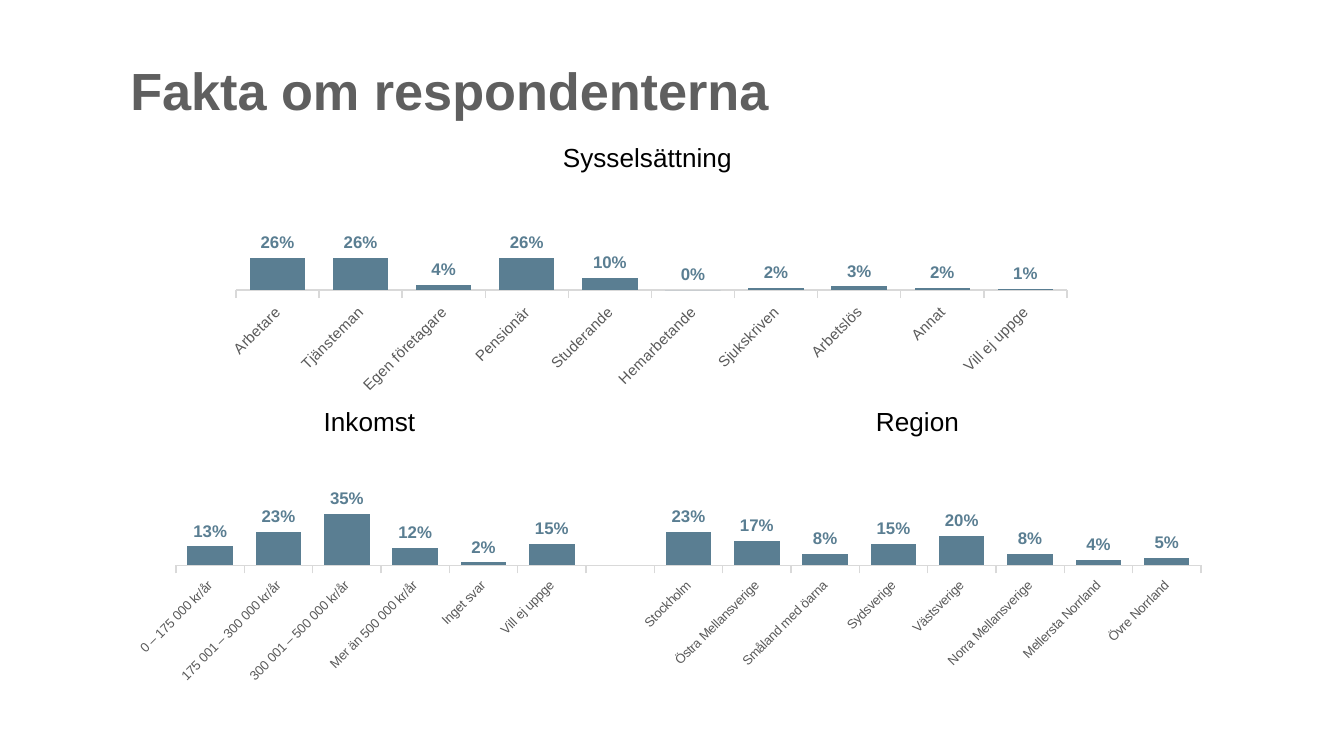
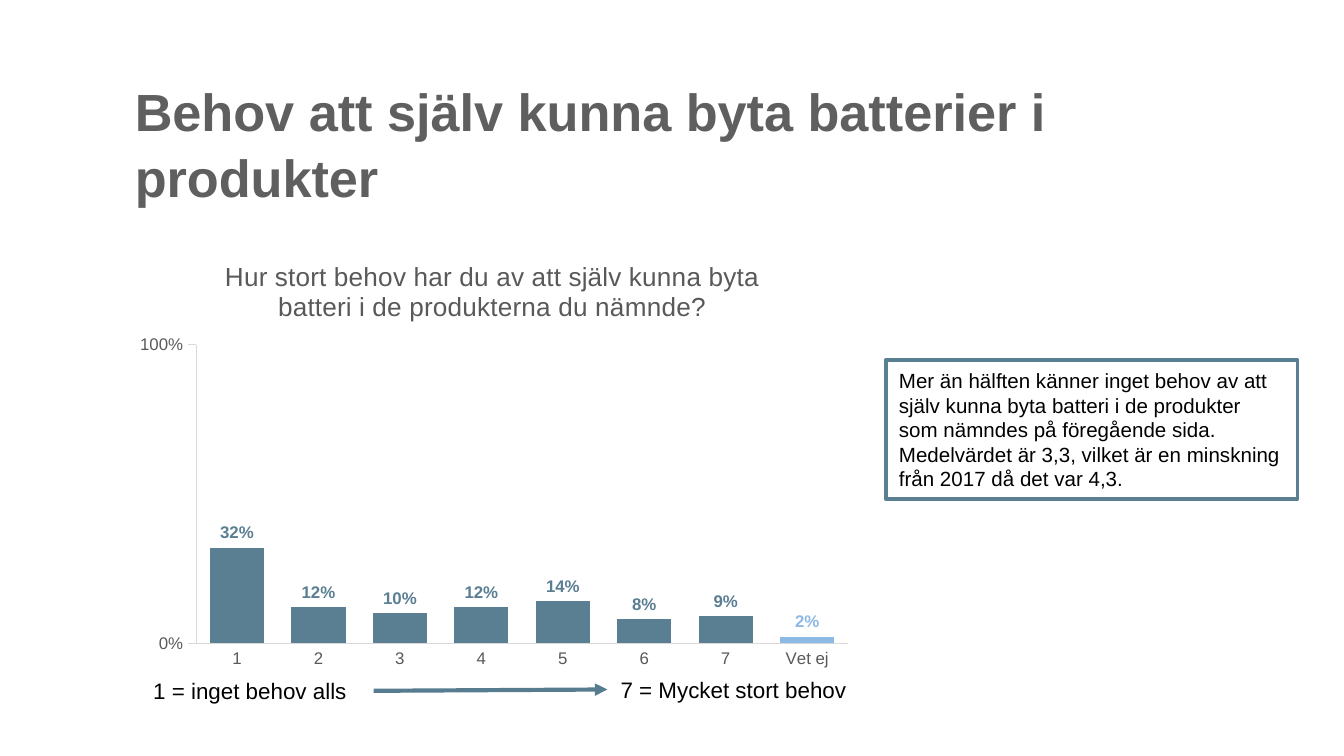
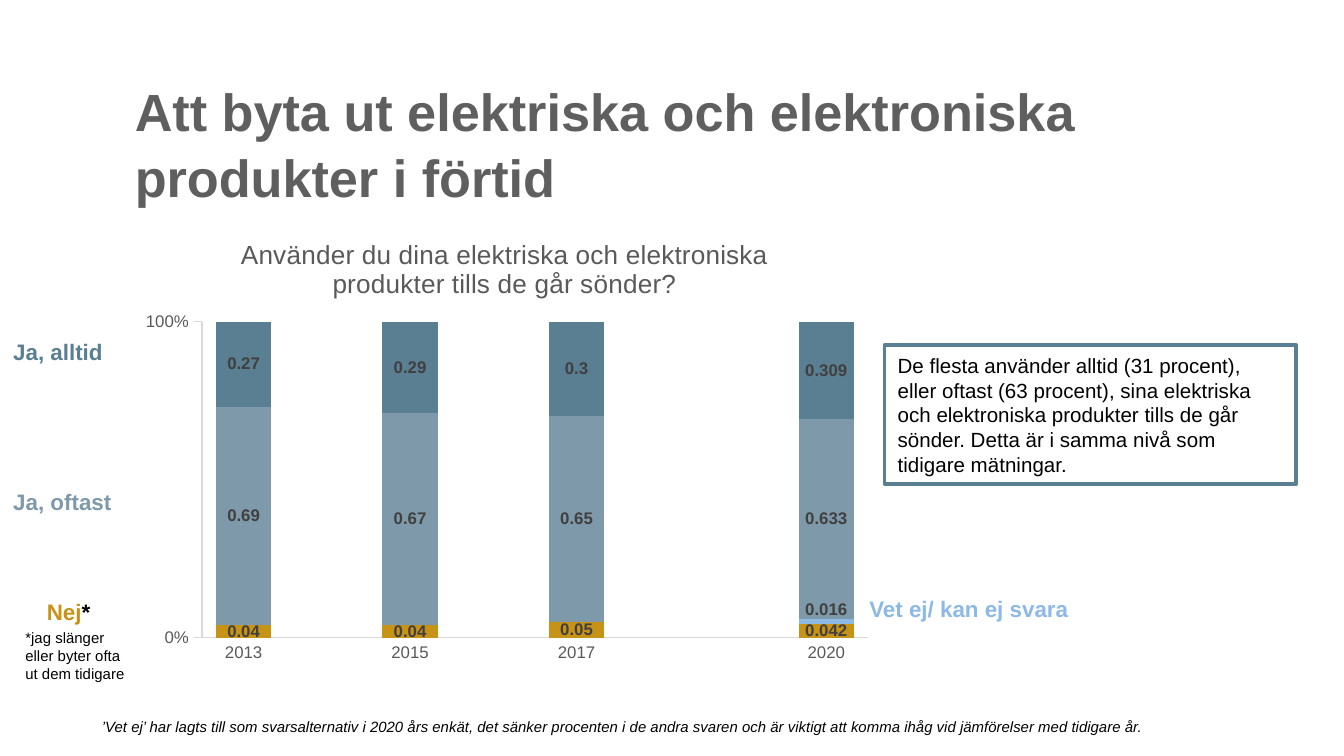
"""Build three survey slides about respondents and the products they replace."""

from dataclasses import dataclass
from typing import Optional

from pptx import Presentation
from pptx import util as u
from pptx.chart import data
from pptx.dml.color import RGBColor
from pptx.enum import chart as charts
from pptx.enum import shapes, text
from pptx.oxml import ns, parse_xml

Box = tuple[float, float, float, float]


@dataclass(frozen=True)
class Theme:
    font: str = "Arial"
    title: str = "5F5F5F"
    ink: str = "000000"
    paper: str = "FFFFFF"
    axis_text: str = "595959"
    axis_line: str = "D9D9D9"
    stacked_label: str = "404040"
    always: str = "5A7E92"
    mostly: str = "7E99AA"
    unsure: str = "8DB9E5"
    never: str = "C79316"
    arrow: str = "577C90"
    title_size: float = 28
    heading_size: float = 14
    legend_size: float = 12
    callout_size: float = 11
    chart_size: float = 10
    label_size: float = 9
    small_size: float = 8
    tiny_size: float = 7


THEME = Theme()


@dataclass(frozen=True)
class Note:
    box: Box
    paragraphs: tuple[str, ...]
    size: float
    color: str = THEME.ink
    bold: bool = False
    italic: bool = False
    wrap: bool = True
    framed: bool = False
    marker: str = ""


@dataclass(frozen=True)
class Series:
    values: tuple[Optional[float], ...]
    color: str = THEME.always
    label_color: str = THEME.always
    label_position: Optional[charts.XL_LABEL_POSITION] = charts.XL_LABEL_POSITION.OUTSIDE_END


@dataclass(frozen=True)
class BarChart:
    box: Box
    plot: Box
    categories: tuple[str, ...]
    series: tuple[Series, ...]
    title: str = ""
    stacked: bool = False
    overlap: int = 0
    show_values: bool = True
    category_size: float = THEME.label_size
    accent: Optional[int] = None


@dataclass(frozen=True)
class Page:
    title: str
    title_box: Box
    charts: tuple[BarChart, ...]
    notes: tuple[Note, ...]
    arrow: Optional[Box] = None


def points(lengths: Box) -> list[u.Length]:
    return [u.Pt(length) for length in lengths]


def style_font(font, size: float, color: str, bold: bool = False, italic: bool = False) -> None:
    font.name, font.size = THEME.font, u.Pt(size)
    font.bold, font.italic = bold, italic
    font.color.rgb = RGBColor.from_string(color)


def style_line(line, color: str, width: float) -> None:
    line.color.rgb = RGBColor.from_string(color)
    line.width = u.Pt(width)


def set_title(slide, page: Page) -> None:
    title = slide.shapes.title
    title.left, title.top, title.width, title.height = points(page.title_box)
    frame = title.text_frame
    frame.text = page.title
    frame.auto_size = text.MSO_AUTO_SIZE.NONE
    frame.vertical_anchor = text.MSO_ANCHOR.TOP
    paragraph = frame.paragraphs[0]
    paragraph.alignment = text.PP_ALIGN.LEFT
    paragraph.line_spacing = 1.05
    style_font(paragraph.font, THEME.title_size, THEME.title, bold=True)


def add_note(slide, note: Note) -> None:
    if note.framed:
        shape = slide.shapes.add_shape(shapes.MSO_SHAPE.RECTANGLE, *points(note.box))
        shape.shadow.inherit = False
        shape.fill.solid()
        shape.fill.fore_color.rgb = RGBColor.from_string(THEME.paper)
        style_line(shape.line, THEME.always, 2)
    else:
        shape = slide.shapes.add_textbox(*points(note.box))
    frame = shape.text_frame
    frame.text = "\n".join(note.paragraphs)
    frame.word_wrap = note.wrap
    frame.auto_size = text.MSO_AUTO_SIZE.SHAPE_TO_FIT_TEXT
    for paragraph in frame.paragraphs:
        paragraph.alignment = text.PP_ALIGN.LEFT
        style_font(paragraph.font, note.size, note.color, note.bold, note.italic)
    if note.marker:
        run = frame.paragraphs[-1].add_run()
        run.text = note.marker
        run.font.color.rgb = RGBColor.from_string(THEME.ink)


def add_arrow(slide, ends: Box) -> None:
    arrow = slide.shapes.add_connector(shapes.MSO_CONNECTOR.STRAIGHT, *points(ends))
    style_line(arrow.line, THEME.arrow, 2.25)
    properties = arrow._element.spPr
    line = properties.find(ns.qn("a:ln"))
    line.append(parse_xml(f'<a:tailEnd {ns.nsdecls("a")} type="triangle"/>'))
    properties.append(parse_xml(f'<a:effectLst {ns.nsdecls("a")}/>'))


def place_plot(chart, plot: Box) -> None:
    area = chart._chartSpace.chart.plotArea
    for layout in area.findall(ns.qn("c:layout")):
        area.remove(layout)
    sizes = "".join(f'<c:{name} val="{value}"/>' for name, value in zip("xywh", plot))
    area.insert(0, parse_xml(
        f'<c:layout {ns.nsdecls("c")}><c:manualLayout><c:layoutTarget val="inner"/>'
        f'<c:xMode val="edge"/><c:yMode val="edge"/>{sizes}</c:manualLayout></c:layout>'))


def style_axes(chart, bars: BarChart) -> None:
    tick = charts.XL_TICK_MARK
    category, value = chart.category_axis, chart.value_axis
    for axis, size in ((category, bars.category_size), (value, THEME.label_size)):
        axis.has_major_gridlines = False
        axis.minor_tick_mark = tick.NONE
        style_font(axis.tick_labels.font, size, THEME.axis_text)
        style_line(axis.format.line, THEME.axis_line, 0.75)
    category.major_tick_mark = tick.NONE if bars.show_values else tick.OUTSIDE
    value.major_tick_mark = tick.OUTSIDE
    value.minimum_scale, value.maximum_scale, value.major_unit = 0, 1, 1
    value.tick_labels.number_format = "0%"
    value.tick_labels.number_format_is_linked = False
    value.visible = bars.show_values
    if not bars.show_values:
        body = category._element.find(ns.qn("c:txPr")).find(ns.qn("a:bodyPr"))
        body.set("rot", "-2700000")
        body.set("vert", "horz")


def add_bars(slide, bars: BarChart) -> None:
    number_format = "General" if bars.stacked else "0%"
    chart_data = data.CategoryChartData(number_format=number_format)
    chart_data.categories = bars.categories
    for number, series in enumerate(bars.series, 1):
        chart_data.add_series(f"Series {number}", series.values)
    kinds = charts.XL_CHART_TYPE
    kind = kinds.COLUMN_STACKED_100 if bars.stacked else kinds.COLUMN_CLUSTERED
    chart = slide.shapes.add_chart(kind, *points(bars.box), chart_data).chart
    style_font(chart.font, THEME.chart_size, THEME.ink)
    chart.has_legend = False
    chart.has_title = bool(bars.title)
    if bars.title:
        frame = chart.chart_title.text_frame
        frame.text = bars.title
        style_font(frame.paragraphs[0].font, THEME.heading_size, THEME.axis_text)
    style_axes(chart, bars)
    place_plot(chart, bars.plot)
    plot = chart.plots[0]
    plot.gap_width, plot.overlap, plot.vary_by_categories = 50, bars.overlap, False
    for drawn, series in zip(plot.series, bars.series):
        drawn.invert_if_negative = False
        drawn.format.fill.solid()
        drawn.format.fill.fore_color.rgb = RGBColor.from_string(series.color)
        labels = drawn.data_labels
        labels.show_value = True
        labels.number_format, labels.number_format_is_linked = number_format, False
        style_font(labels.font, THEME.label_size, series.label_color, bold=True)
        if series.label_position is not None:
            labels.position = series.label_position
    if bars.accent is not None:
        point = plot.series[0].points[bars.accent]
        point.format.fill.solid()
        point.format.fill.fore_color.rgb = RGBColor.from_string(THEME.unsure)
        style_font(point.data_label.font, THEME.label_size, THEME.unsure, bold=True)
        point.data_label.position = charts.XL_LABEL_POSITION.OUTSIDE_END


def heading(left: float, top: float, width: float, words: str) -> Note:
    return Note((left, top, width, 24.5), (words,), THEME.heading_size, wrap=False)


def legend(left: float, top: float, width: float, words: str, color: str, marker: str = "") -> Note:
    return Note((left, top, width, 21.6), (words,), THEME.legend_size, color, bold=True, marker=marker)


def callout(left: float, top: float, *paragraphs: str) -> Note:
    return Note((left, top, 220.7, 74.2), paragraphs, THEME.callout_size, framed=True)


def layer(color: str, values: tuple[Optional[float], ...],
          position: Optional[charts.XL_LABEL_POSITION] = None) -> Series:
    first, second, third, last = values
    return Series((first, None, second, None, third, None, None, last),
                  color, THEME.stacked_label, position)


LOWER_TITLE = (65, 37, 578, 85)

PAGES = (
    Page(
        "Fakta om respondenterna",
        (62.6, 26, 578, 85),
        (
            BarChart(
                (112.3, 87.1, 468.7, 126.7), (0.03, 0.02, 0.95, 0.52),
                ("Arbetare", "Tjänsteman", "Egen företagare", "Pensionär", "Studerande",
                 "Hemarbetande", "Sjukskriven", "Arbetslös", "Annat", "Vill ej uppge"),
                (Series((0.26, 0.26, 0.04, 0.26, 0.1, 0, 0.02, 0.03, 0.02, 0.01)),),
                overlap=-27, show_values=False, category_size=THEME.small_size,
            ),
            BarChart(
                (64.8, 221.8, 590.4, 147.6), (0.05, 0.02, 0.93, 0.53),
                ("0 – 175 000 kr/år", "175 001 – 300 000 kr/år", "300 001 – 500 000 kr/år",
                 "Mer än 500 000 kr/år", "Inget svar", "Vill ej uppge", "", "Stockholm",
                 "Östra Mellansverige", "Småland med öarna", "Sydsverige", "Västsverige",
                 "Norra Mellansverige", "Mellersta Norrland", "Övre Norrland"),
                (Series((0.13, 0.23, 0.35, 0.12, 0.02, 0.15, None,
                         0.23, 0.17, 0.08, 0.15, 0.2, 0.08, 0.04, 0.05)),),
                overlap=-27, show_values=False, category_size=THEME.tiny_size,
            ),
        ),
        (
            heading(294.5, 72, 105.8, "Sysselsättning"),
            heading(166.3, 213.8, 64, "Inkomst"),
            heading(462.2, 213.8, 59, "Region"),
        ),
    ),
    Page(
        "Behov att själv kunna byta batterier i produkter",
        LOWER_TITLE,
        (
            BarChart(
                (65.5, 128.2, 396.7, 235.4), (0.1, 0.24, 0.88, 0.68),
                ("1", "2", "3", "4", "5", "6", "7", "Vet ej"),
                (Series((0.32, 0.12, 0.1, 0.12, 0.14, 0.08, 0.09, 0.02)),),
                title="Hur stort behov har du av att själv kunna byta batteri i de produkterna du nämnde?",
                accent=7,
            ),
        ),
        (
            callout(
                474.5, 193,
                "Mer än hälften känner inget behov av att själv kunna byta batteri i de produkter "
                "som nämndes på föregående sida.",
                "Medelvärdet är 3,3, vilket är en minskning från 2017 då det var 4,3.",
            ),
            Note((75, 359.3, 125.3, 21.6), ("1 = inget behov alls",), THEME.legend_size),
            Note((325.4, 358.6, 136.8, 21.6), ("7 = Mycket stort behov",), THEME.legend_size, wrap=False),
        ),
        arrow=(200.2, 370.1, 325.4, 369.4),
    ),
    Page(
        "Att byta ut elektriska och elektroniska produkter i förtid",
        LOWER_TITLE,
        (
            BarChart(
                (67.7, 115.9, 405.4, 245.5), (0.1, 0.23, 0.88, 0.69),
                ("2013", "", "2015", "", "2017", "", "", "2020"),
                (
                    layer(THEME.never, (0.04, 0.04, 0.05, 0.042)),
                    layer(THEME.unsure, (None, None, None, 0.016), charts.XL_LABEL_POSITION.INSIDE_BASE),
                    layer(THEME.mostly, (0.69, 0.67, 0.65, 0.633)),
                    layer(THEME.always, (0.27, 0.29, 0.3, 0.309)),
                ),
                title="Använder du dina elektriska och elektroniska produkter tills de går sönder?",
                stacked=True, overlap=100,
            ),
        ),
        (
            callout(
                473.8, 185,
                "De flesta använder alltid (31 procent), eller oftast (63 procent), sina elektriska "
                "och elektroniska produkter tills de går sönder. Detta är i samma nivå som tidigare "
                "mätningar.",
            ),
            legend(0, 257.8, 96.5, "Ja, oftast", THEME.mostly),
            legend(0, 177.8, 96.5, "Ja, alltid", THEME.always),
            legend(18, 316.8, 96.5, "Nej", THEME.never, marker="*"),
            legend(458.6, 315.4, 140.4, "Vet ej/ kan ej svara", THEME.unsure),
            Note((6.5, 333.4, 73.4, 36), ("*jag slänger eller byter ofta ut dem tidigare",), THEME.small_size),
            Note(
                (47.5, 380.9, 579.6, 17.3),
                ("’Vet ej’ har lagts till som svarsalternativ i 2020 års enkät, det sänker procenten i de "
                 "andra svaren och är viktigt att komma ihåg vid jämförelser med tidigare år.",),
                THEME.small_size, italic=True, wrap=False,
            ),
        ),
    ),
)


def main() -> None:
    presentation = Presentation()
    presentation.slide_width, presentation.slide_height = u.Pt(720), u.Pt(405)
    title_only = presentation.slide_layouts[5]
    for page in PAGES:
        slide = presentation.slides.add_slide(title_only)
        set_title(slide, page)
        for bars in page.charts:
            add_bars(slide, bars)
        for note in page.notes:
            add_note(slide, note)
        if page.arrow:
            add_arrow(slide, page.arrow)
    presentation.save("out.pptx")


if __name__ == "__main__":
    main()
